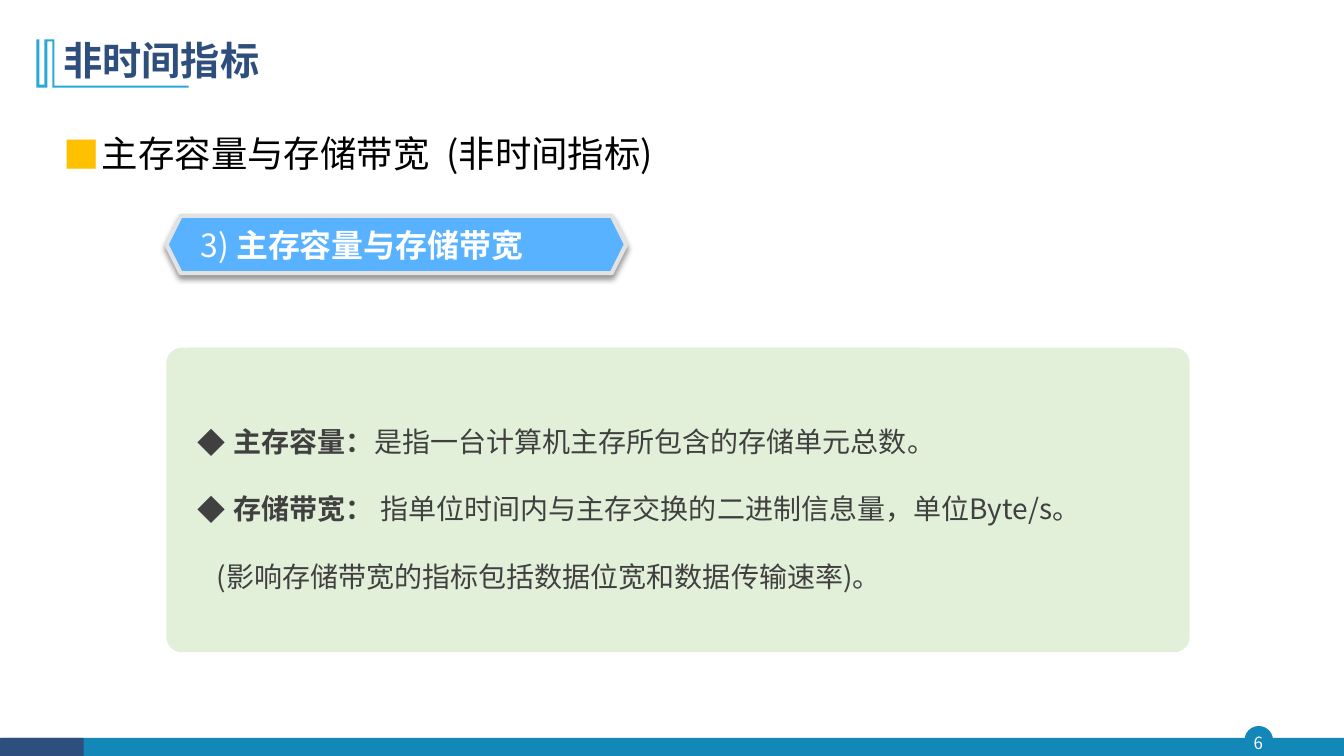
from lxml import etree
from pptx import Presentation
from pptx.dml.color import RGBColor
from pptx.enum import shapes, text
from pptx.oxml import ns
from pptx.util import Inches, Pt

FONT = "Noto Sans CJK SC"
NAVY = RGBColor(0x2E, 0x4E, 0x7E)
TEAL = RGBColor(0x13, 0x87, 0xB7)
CYAN = RGBColor(0x28, 0xA9, 0xD6)
SKY = RGBColor(0x59, 0xB2, 0xFF)
SILVER = RGBColor(0xE2, 0xE2, 0xE2)
MINT = RGBColor(0xE2, 0xF0, 0xD9)
AMBER = RGBColor(0xFF, 0xC0, 0x00)
GRAY = RGBColor(0x40, 0x40, 0x40)
BLACK = RGBColor(0, 0, 0)
WHITE = RGBColor(0xFF, 0xFF, 0xFF)

LEFT, CENTER, JUSTIFY = (text.PP_ALIGN.LEFT, text.PP_ALIGN.CENTER,
                         text.PP_ALIGN.JUSTIFY)
MIDDLE, TOP = text.MSO_ANCHOR.MIDDLE, text.MSO_ANCHOR.TOP


def add_element(parent, tag, **attributes):
    element = etree.SubElement(parent, ns.qn(tag))
    for name, value in attributes.items():
        element.set(name, str(value))
    return element


def place(shape, left, top, width, height):
    shape.left, shape.top = Inches(left), Inches(top)
    shape.width, shape.height = Inches(width), Inches(height)


def paint(shape, fill, line=None, line_width=1):
    shape.shadow.inherit = False
    shape.fill.solid()
    shape.fill.fore_color.rgb = fill
    if line is None:
        shape.line.fill.background()
    else:
        shape.line.color.rgb = line
        shape.line.width = Pt(line_width)


def add_panel(slide, kind, box, fill, line=None, line_width=1):
    shape = slide.shapes.add_shape(kind, *map(Inches, box))
    paint(shape, fill, line, line_width)
    return shape


def add_drop_shadow(shape):
    effects = shape._element.spPr.find(ns.qn("a:effectLst"))
    shadow = add_element(effects, "a:outerShdw", blurRad=Pt(4), dist=Pt(3),
                         dir=90 * 60000, algn="t", rotWithShape=0)
    color = add_element(shadow, "a:srgbClr", val=BLACK)
    add_element(color, "a:alpha", val=40000)


def set_frame(shape, anchor, margin=None):
    frame = shape.text_frame
    frame.word_wrap = True
    frame.auto_size = text.MSO_AUTO_SIZE.NONE
    frame.vertical_anchor = anchor
    if margin is not None:
        frame.margin_left = frame.margin_right = Inches(margin)
        frame.margin_top = frame.margin_bottom = Inches(margin)
    return frame


def set_paragraph(paragraph, align=LEFT, spacing=1.0, margin=0, hanging=0,
                  bullet=None, bullet_color=None):
    properties = paragraph._p.get_or_add_pPr()
    properties.set("marL", str(Inches(margin)))
    properties.set("indent", str(-Inches(hanging)))
    if bullet_color is not None:
        color = add_element(properties, "a:buClr")
        add_element(color, "a:srgbClr", val=bullet_color)
    if bullet:
        add_element(properties, "a:buFont", typeface=FONT)
        add_element(properties, "a:buChar", char=bullet)
    else:
        add_element(properties, "a:buNone")
    paragraph.alignment = align
    paragraph.line_spacing = spacing
    paragraph.space_before = paragraph.space_after = Pt(0)


def add_run(paragraph, words, size, color, bold=False, tracking=0):
    run = paragraph.add_run()
    run.text = words
    run.font.size, run.font.bold = Pt(size), bold
    run.font.color.rgb = color
    run.font.name = FONT
    properties = run._r.get_or_add_rPr()
    add_element(properties, "a:ea", typeface=FONT)
    if tracking:
        properties.set("spc", str(tracking))


def add_text_box(slide, box, margin=None):
    return set_frame(slide.shapes.add_textbox(*map(Inches, box)), MIDDLE, margin)


def add_footer(slide):
    add_panel(slide, shapes.MSO_SHAPE.OVAL, (12.35, 7.21, 0.27, 0.27), TEAL, TEAL)
    for box, color in (((0.01, 7.32, 13.32, 0.19), TEAL),
                       ((0, 7.32, 0.83, 0.19), NAVY)):
        add_panel(slide, shapes.MSO_SHAPE.RECTANGLE, box, color)
    paragraph = add_text_box(slide, (12.32, 7.21, 0.32, 0.31), 0).paragraphs[0]
    set_paragraph(paragraph, CENTER)
    add_run(paragraph, "6", 12, WHITE)


def add_title_mark(slide):
    outline = [(0.54, 0.39), (0.54, 0.85), (1.87, 0.85), (1.87, 0.87),
               (0.52, 0.87), (0.52, 0.41), (0.47, 0.41), (0.47, 0.87),
               (0.36, 0.87), (0.36, 0.39), (0.39, 0.39), (0.39, 0.84),
               (0.44, 0.84), (0.44, 0.39)]
    points = [(Inches(x), Inches(y)) for x, y in outline]
    builder = slide.shapes.build_freeform(*points[0])
    builder.add_line_segments(points[1:], close=True)
    paint(builder.convert_to_shape(), CYAN)


def fill_placeholders(slide):
    title, body = slide.shapes.title, slide.placeholders[1]
    place(title, 0.53, 0.28, 11.5, 0.68)
    paragraph = set_frame(title, MIDDLE).paragraphs[0]
    set_paragraph(paragraph, spacing=0.9)
    add_run(paragraph, "非时间指标", 28, NAVY, bold=True)

    place(body, 0.53, 1.03, 11.5, 0.93)
    paragraph = set_frame(body, TOP).paragraphs[0]
    set_paragraph(paragraph, spacing=1.5, margin=0.38, hanging=0.38,
                  bullet="■", bullet_color=AMBER)
    add_run(paragraph, "主存容量与存储带宽", 26, BLACK)
    add_run(paragraph, " ", 26, BLACK, tracking=580)
    add_run(paragraph, "(非时间指标)", 26, BLACK)


def add_section_banner(slide):
    banner = add_panel(slide, shapes.MSO_SHAPE.HEXAGON, (1.65, 2.14, 4.56, 0.57),
                       SKY, SILVER, 3)
    add_drop_shadow(banner)
    paragraph = add_text_box(slide, (1.89, 2.14, 7.32, 0.57)).paragraphs[0]
    set_paragraph(paragraph)
    add_run(paragraph, "3) ", 22.8, WHITE)
    add_run(paragraph, "主存容量与存储带宽", 22.8, WHITE, bold=True)


def add_definitions(slide):
    card = add_panel(slide, shapes.MSO_SHAPE.ROUNDED_RECTANGLE,
                     (1.65, 3.45, 10.15, 3.02), MINT)
    card.adjustments[0] = 0.05
    panel = add_panel(slide, shapes.MSO_SHAPE.RECTANGLE,
                      (1.86, 3.45, 9.78, 2.86), MINT)
    frame = set_frame(panel, MIDDLE)
    definitions = [("主存容量：", "是指一台计算机主存所包含的存储单元总数。"),
                   ("存储带宽： ", "指单位时间内与主存交换的二进制信息量，单位Byte/s。")]
    paragraph = frame.paragraphs[0]
    for term, meaning in definitions:
        set_paragraph(paragraph, JUSTIFY, 2.0, 0.36, 0.36, "◆")
        add_run(paragraph, term, 20, GRAY, bold=True)
        add_run(paragraph, meaning, 20, GRAY)
        paragraph = frame.add_paragraph()
    set_paragraph(paragraph, JUSTIFY, 2.0, margin=0.19)
    add_run(paragraph, "(影响存储带宽的指标包括数据位宽和数据传输速率)。", 20, GRAY)


def main():
    presentation = Presentation()
    presentation.slide_width = Inches(13.33)
    presentation.slide_height = Inches(7.5)
    slide = presentation.slides.add_slide(presentation.slide_layouts[1])

    # Page furniture
    add_footer(slide)
    add_title_mark(slide)

    # Content
    fill_placeholders(slide)
    add_section_banner(slide)
    add_definitions(slide)
    presentation.save("out.pptx")


if __name__ == "__main__":
    main()
